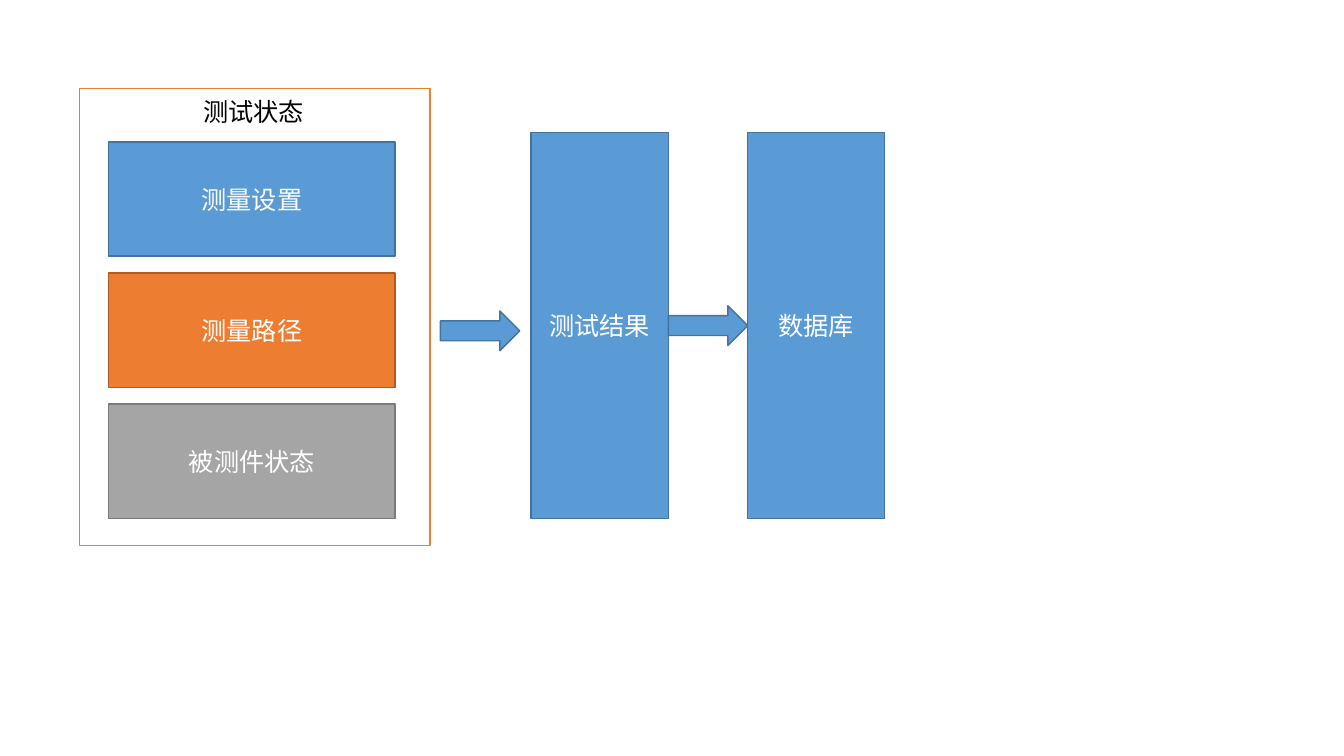
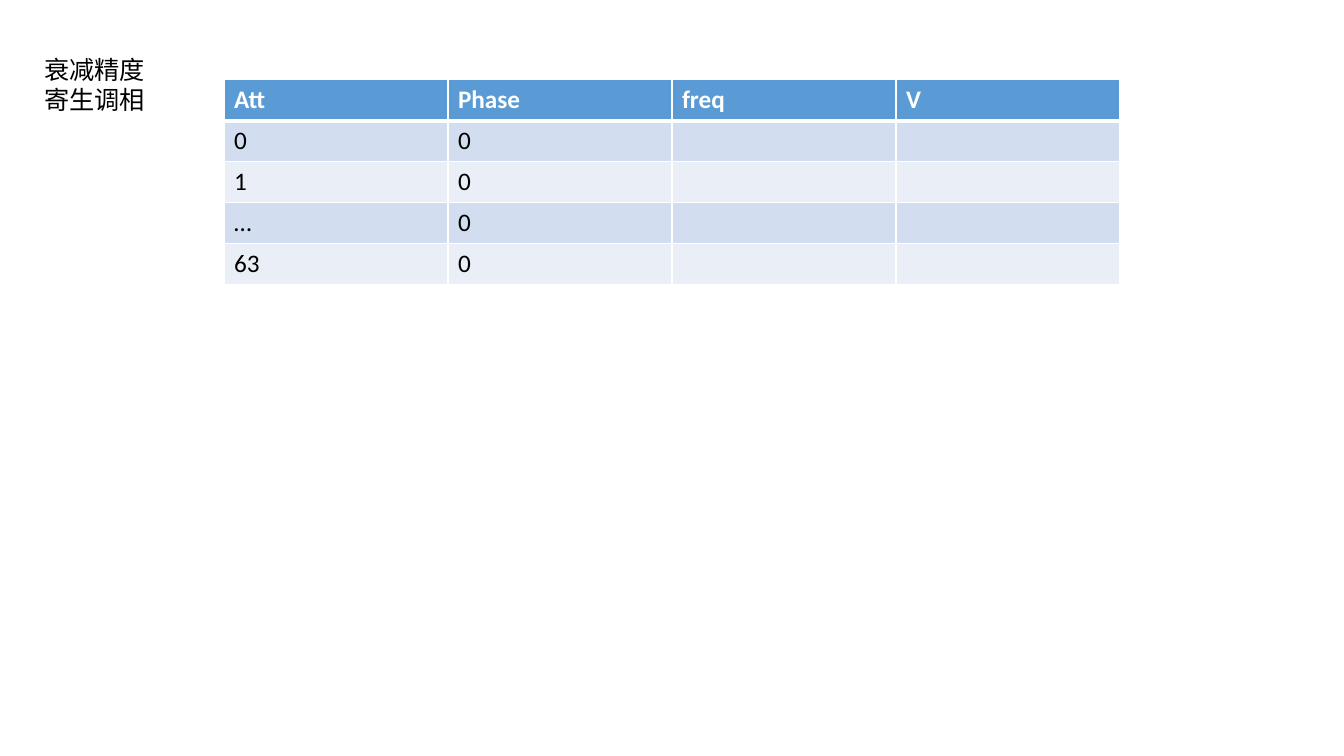
import pptx
import pptx.dml.color
import pptx.enum.shapes
import pptx.enum.text
import pptx.oxml
import pptx.oxml.ns
import pptx.util

Pt = pptx.util.Pt
SHAPE = pptx.enum.shapes.MSO_SHAPE
ANCHOR = pptx.enum.text.MSO_ANCHOR
ALIGN = pptx.enum.text.PP_ALIGN

COLORS = {
    "white": "FFFFFF",
    "black": "000000",
    "blue": "5B9BD5",
    "blue_edge": "43739E",
    "orange": "ED7D31",
    "orange_edge": "AF5C24",
    "gray": "A5A5A5",
    "gray_edge": "7A7A7A",
    "band_dark": "D2DEEF",
    "band_light": "EAEFF7",
}
FONT = "Calibri"
TEXT_SIZE = 18


def rgb(name):
    return pptx.dml.color.RGBColor.from_string(COLORS[name])


def write_text(frame, text, color="black", bold=False, align=ALIGN.LEFT):
    frame.text = text
    for paragraph in frame.paragraphs:
        paragraph.alignment = align
        paragraph.font.name = FONT
        paragraph.font.size = Pt(TEXT_SIZE)
        paragraph.font.bold = bold
        paragraph.font.color.rgb = rgb(color)


def add_block(slide, box, text="", fill="blue", edge="blue_edge", kind=SHAPE.RECTANGLE):
    block = slide.shapes.add_shape(kind, *map(Pt, box))
    block.shadow.inherit = False
    block.fill.solid()
    block.fill.fore_color.rgb = rgb(fill)
    block.line.color.rgb = rgb(edge)
    block.line.width = Pt(1)
    if text:
        block.text_frame.vertical_anchor = ANCHOR.MIDDLE
        write_text(block.text_frame, text, color="white", align=ALIGN.CENTER)


def add_label(slide, box, text):
    frame = slide.shapes.add_textbox(*map(Pt, box)).text_frame
    frame.word_wrap = False
    frame.auto_size = pptx.enum.text.MSO_AUTO_SIZE.SHAPE_TO_FIT_TEXT
    write_text(frame, text)


def add_state_panel(slide, box, heading, states):
    left, top, width, height = box
    add_block(slide, box, fill="white", edge="orange")
    state_height, pitch = 81.6, 93.6
    for index, (text, color) in enumerate(states):
        state_box = (left + 20.8, top + 38.2 + index * pitch, 204.6, state_height)
        add_block(slide, state_box, text, color, color + "_edge")
    add_label(slide, (left + 81.4, top + 2, 87.2, 29.1), heading)


def add_flow(slide, box, stages):
    left, top, width, height = box
    stage_width, arrow_width, arrow_height = 98.2, 56.7, 28.4
    pitch = width - stage_width
    for index, text in enumerate(stages):
        add_block(slide, (left + index * pitch, top, stage_width, height), text)
    arrow_top = top + (height - arrow_height) / 2
    arrows = [(left - 64.6, arrow_top + 3.7), (left + stage_width, arrow_top)]
    for arrow_left, arrow_y in arrows:
        arrow_box = (arrow_left, arrow_y, arrow_width, arrow_height)
        add_block(slide, arrow_box, kind=SHAPE.RIGHT_ARROW)


def set_border(cell, side, width):
    properties = cell._tc.get_or_add_tcPr()
    properties.append(pptx.oxml.parse_xml(
        f'<a:{side} {pptx.oxml.ns.nsdecls("a")} w="{Pt(width)}"><a:solidFill>'
        f'<a:srgbClr val="{COLORS["white"]}"/></a:solidFill></a:{side}>'))


def add_data_table(slide, box, rows):
    table = slide.shapes.add_table(len(rows), len(rows[0]), *map(Pt, box)).table
    for row_index, row in enumerate(rows):
        header = row_index == 0
        band = "band_dark" if row_index % 2 else "band_light"
        for column_index, text in enumerate(row):
            cell = table.cell(row_index, column_index)
            set_border(cell, "lnL", 1)
            set_border(cell, "lnR", 1)
            set_border(cell, "lnT", 3 if row_index == 1 else 1)
            set_border(cell, "lnB", 3 if header else 1)
            cell.fill.solid()
            cell.fill.fore_color.rgb = rgb("blue" if header else band)
            write_text(cell.text_frame, text, color="white" if header else "black", bold=header)


def build_process_slide(slide):
    states = [("测量设置", "blue"), ("测量路径", "orange"), ("被测件状态", "gray")]
    add_state_panel(slide, (56.8, 63.2, 250.4, 326.4), "测试状态", states)
    add_flow(slide, (379.2, 94.7, 252.8, 275.8), ["测试结果", "数据库"])


def build_data_slide(slide):
    rows = [["Att", "Phase", "freq", "V"]]
    rows += [[level, "0", "", ""] for level in ("0", "1", "…", "63")]
    add_data_table(slide, (160, 57, 640, 146), rows)
    add_label(slide, (24.4, 35.2, 87.2, 50.9), "衰减精度\n寄生调相")


def main():
    deck = pptx.Presentation()
    deck.slide_width, deck.slide_height = Pt(960), Pt(540)
    blank = deck.slide_layouts[6]
    for build in (build_process_slide, build_data_slide):
        build(deck.slides.add_slide(blank))
    deck.save("out.pptx")


if __name__ == "__main__":
    main()
